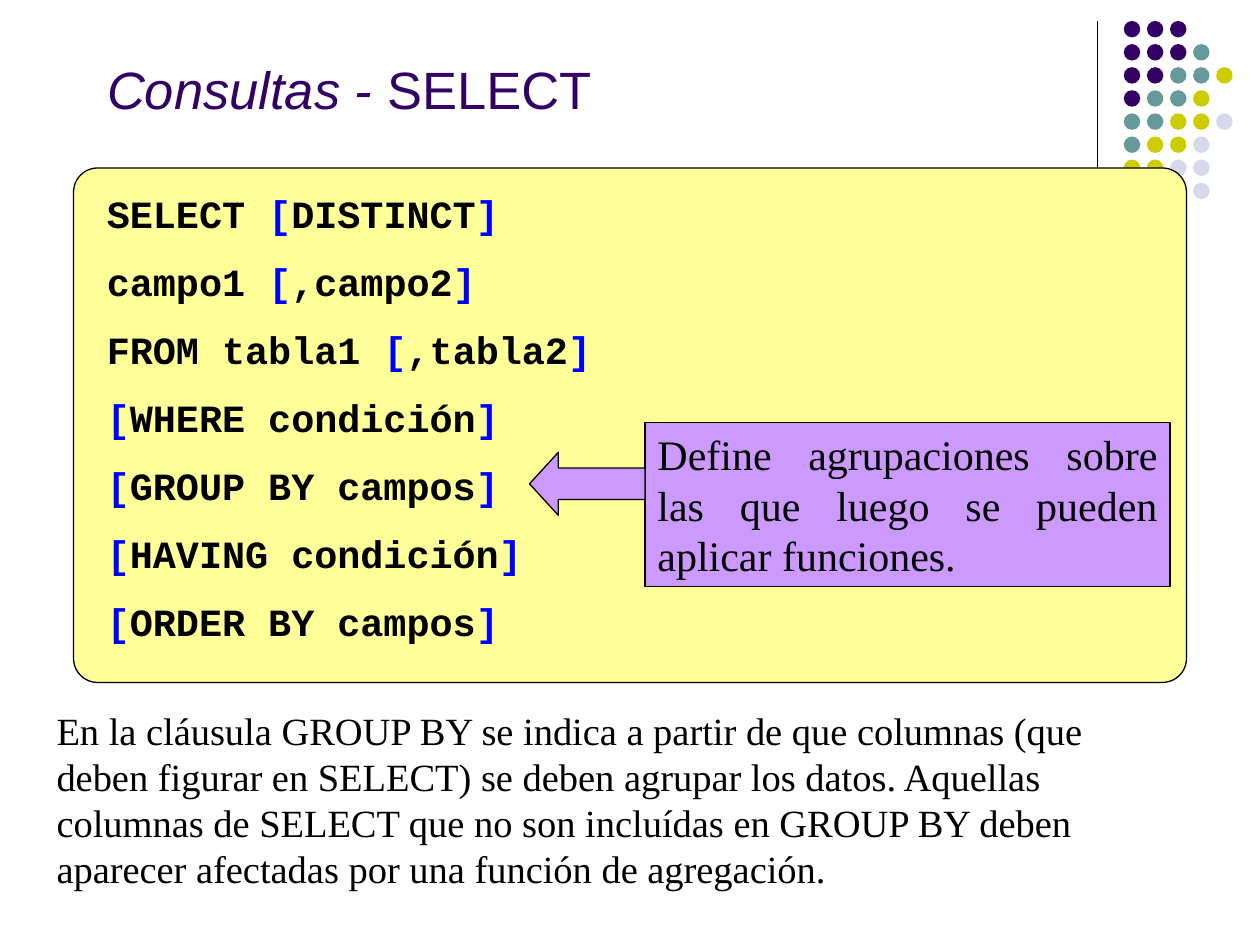
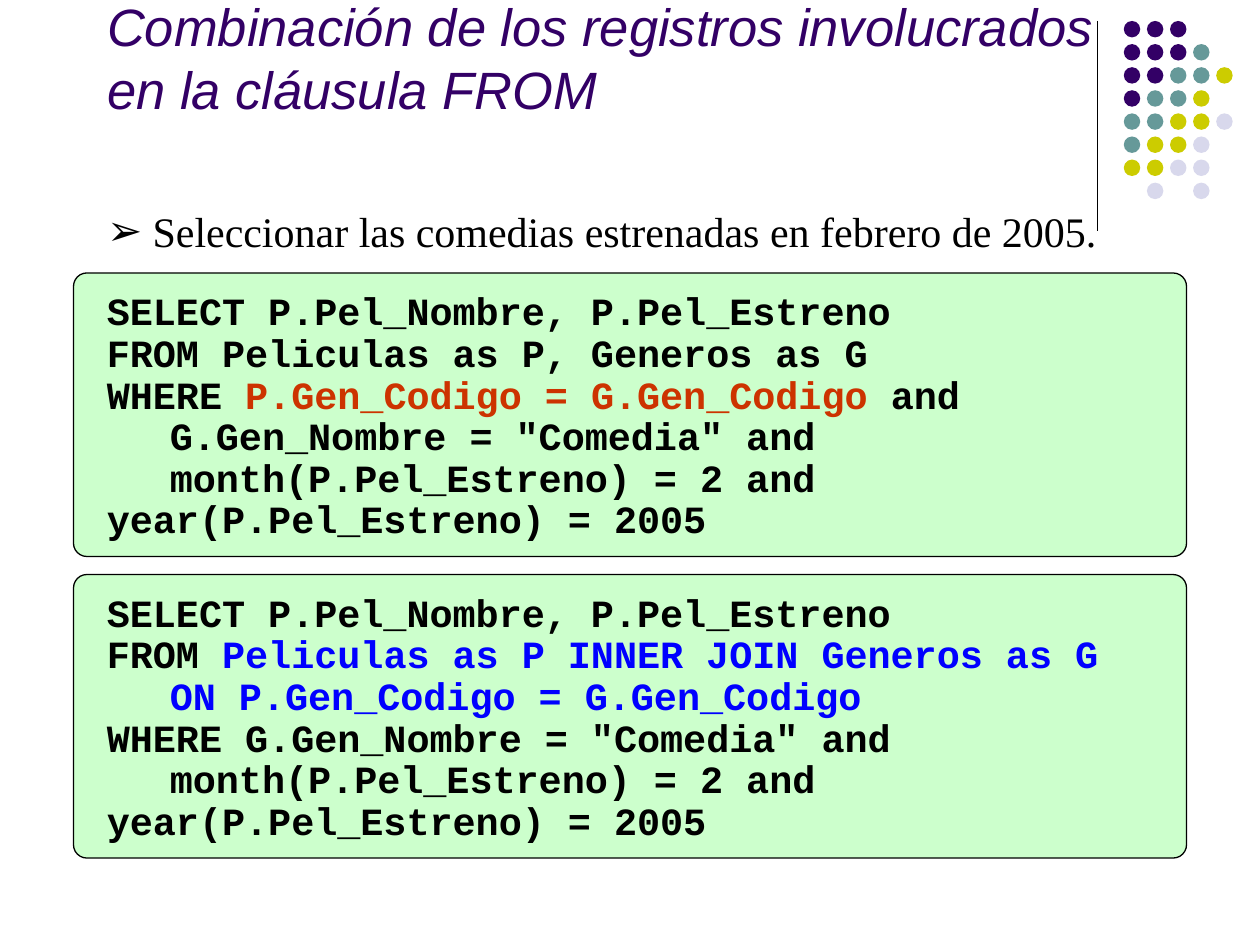
from lxml import etree
from pptx import Presentation
from pptx.dml.color import RGBColor
from pptx.enum.shapes import MSO_CONNECTOR, MSO_SHAPE
from pptx.enum.text import MSO_ANCHOR, MSO_AUTO_SIZE, PP_ALIGN
from pptx.oxml.ns import qn
from pptx.util import Pt

ROUNDED, RECTANGLE = MSO_SHAPE.ROUNDED_RECTANGLE, MSO_SHAPE.RECTANGLE
LEFT_ARROW, OVAL = MSO_SHAPE.LEFT_ARROW, MSO_SHAPE.OVAL
STRAIGHT = MSO_CONNECTOR.STRAIGHT
TOP, BOTTOM = MSO_ANCHOR.TOP, MSO_ANCHOR.BOTTOM
LEFT, JUSTIFY = PP_ALIGN.LEFT, PP_ALIGN.JUSTIFY
NO_AUTOFIT = MSO_AUTO_SIZE.NONE

COLORS = {
    "black": "000000", "purple": "330066", "teal": "669999", "olive": "CCCC00",
    "lavender": "D8D8EC", "blue": "0000FF", "red": "CC3300",
    "yellow": "FFFF99", "green": "CCFFCC", "lilac": "CC99FF",
}
RGB = {name: RGBColor.from_string(value) for name, value in COLORS.items()}
CODE_FONT, TEXT_FONT, TITLE_FONT = "Courier New", "Times New Roman", "Arial"


def add_box(shapes, kind, left, top, width, height, fill, outline="black"):
    box = shapes.add_shape(kind, Pt(left), Pt(top), Pt(width), Pt(height))
    box.shadow.inherit = False
    box.fill.solid()
    box.fill.fore_color.rgb = RGB[fill]
    if outline:
        box.line.color.rgb = RGB[outline]
        box.line.width = Pt(0.75)
    else:
        box.line.fill.background()
    return box


def add_code_panel(slide, top, height, fill, text_top, lines, gap=0):
    """Add a rounded panel with code; each line is a list of (text, colour)."""
    panel = add_box(slide.shapes, ROUNDED, 42, top, 636, height, fill)
    panel.adjustments[0] = 0.047
    code = slide.shapes.add_textbox(Pt(54), Pt(text_top), Pt(618), Pt(height - 12))
    frame = code.text_frame
    frame.word_wrap = True
    for number, line in enumerate(lines):
        paragraph = frame.add_paragraph() if number else frame.paragraphs[0]
        paragraph.line_spacing = 0.9
        paragraph.space_before = Pt(gap if number else 0)
        paragraph.font.name = CODE_FONT
        paragraph.font.size = Pt(22)
        paragraph.font.bold = True
        for text, color in line:
            run = paragraph.add_run()
            run.text = text
            run.font.color.rgb = RGB[color]


prs = Presentation()
prs.slide_width, prs.slide_height = Pt(720), Pt(540)
title_only, title_and_content = prs.slide_layouts[5], prs.slide_layouts[1]
syntax_slide = prs.slides.add_slide(title_only)
join_slide = prs.slides.add_slide(title_and_content)

# Corner ornament, drawn once and moved to the master
ornament = syntax_slide.shapes.add_group_shape()
rule = ornament.shapes.add_connector(STRAIGHT, Pt(627), Pt(12), Pt(627), Pt(132))
rule.line.color.rgb = RGB["black"]
rule.line.width = Pt(0.75)
etree.SubElement(rule.element.spPr, qn("a:effectLst"))

dot_colors = {"P": "purple", "T": "teal", "O": "olive", "L": "lavender"}
dot_rows = ["PPP", "PPPT", "PPTTO", "PTTO", "TTOOL", "TOOL", "OOLL", " L L"]
for row, dots in enumerate(dot_rows):
    for column, dot in enumerate(dots):
        if dot in dot_colors:
            add_box(ornament.shapes, OVAL, 642.2 + 13.2 * column, 12 + 13.2 * row,
                    9.4, 9.4, dot_colors[dot], outline=None)

for number, properties in enumerate(ornament.element.iter(qn("p:cNvPr"))):
    properties.set("id", str(100 + number))
prs.slide_master.shapes.element.append(ornament.element)

# Titles
titles = [
    (syntax_slide, [("Consultas - ", True), ("SELECT", False)]),
    (join_slide, [("Combinación de los registros involucrados en la cláusula FROM", True)]),
]
for slide, parts in titles:
    title = slide.shapes.title
    title.left, title.top, title.width, title.height = Pt(54), Pt(36), Pt(612), Pt(36)
    title.text_frame.auto_size = NO_AUTOFIT
    title.text_frame.vertical_anchor = BOTTOM
    heading = title.text_frame.paragraphs[0]
    heading.alignment = LEFT
    heading.font.name = TITLE_FONT
    heading.font.size = Pt(30)
    heading.font.color.rgb = RGB["purple"]
    for text, italic in parts:
        run = heading.add_run()
        run.text = text
        run.font.italic = italic

# Slide 1: SELECT syntax, optional parts in brackets
clauses = [
    ("SELECT ", "DISTINCT"),
    ("campo1 ", ",campo2"),
    ("FROM tabla1 ", ",tabla2"),
    ("", "WHERE condición"),
    ("", "GROUP BY campos"),
    ("", "HAVING condición"),
    ("", "ORDER BY campos"),
]
syntax = []
for required, optional in clauses:
    line = [(required, "black")] if required else []
    syntax.append(line + [("[", "blue"), (optional, "black"), ("]", "blue")])
add_code_panel(syntax_slide, 96, 294, "yellow", 108, syntax, gap=15.1)

callout = syntax_slide.shapes.add_group_shape()
definition = add_box(callout.shapes, RECTANGLE, 368.6, 241.6, 300, 93.6, "lilac")
arrow = add_box(callout.shapes, LEFT_ARROW, 302.6, 258.5, 66, 36, "lilac")
arrow.adjustments[1] = 0.458
explanation = syntax_slide.shapes.add_textbox(Pt(25.2), Pt(400.3), Pt(652), Pt(113))

notes = [
    (definition, 24, JUSTIFY,
     "Define agrupaciones sobre las que luego se pueden aplicar funciones."),
    (explanation, 22, LEFT,
     "En la cláusula GROUP BY se indica a partir de que columnas (que deben figurar "
     "en SELECT) se deben agrupar los datos. Aquellas columnas de SELECT que no son "
     "incluídas en GROUP BY deben aparecer afectadas por una función de agregación."),
]
for note, size, alignment, text in notes:
    note.text_frame.word_wrap = True
    note.text_frame.vertical_anchor = TOP
    paragraph = note.text_frame.paragraphs[0]
    paragraph.text = text
    paragraph.alignment = alignment
    paragraph.font.name = TEXT_FONT
    paragraph.font.size = Pt(size)
    paragraph.font.color.rgb = RGB["black"]

# Slide 2: the same query with WHERE and with INNER JOIN
task = join_slide.placeholders[1]
task.left, task.top, task.width, task.height = Pt(54), Pt(114), Pt(612), Pt(36)
task.text_frame.auto_size = NO_AUTOFIT
bullet_line = task.text_frame.paragraphs[0]
bullet_line.text = "Seleccionar las comedias estrenadas en febrero de 2005."
bullet_line.space_before = Pt(0)
indents = bullet_line._p.get_or_add_pPr()
indents.set("marL", str(Pt(26)))
indents.set("indent", str(-Pt(26)))
bullet_color = etree.SubElement(indents, qn("a:buClr"))
etree.SubElement(bullet_color, qn("a:srgbClr"), val=COLORS["black"])
etree.SubElement(indents, qn("a:buChar"), char="➢")
bullet_line.font.name = TEXT_FONT
bullet_line.font.size = Pt(24)
bullet_line.font.color.rgb = RGB["black"]

select_line = [("SELECT P.Pel_Nombre, P.Pel_Estreno", "black")]
date_line = [("\tmonth(P.Pel_Estreno) = 2 and \tyear(P.Pel_Estreno) = 2005", "black")]
where_query = [
    select_line,
    [("FROM Peliculas as P, Generos as G", "black")],
    [("WHERE ", "black"), ("P.Gen_Codigo = G.Gen_Codigo", "red"), (" and", "black")],
    [("\tG.Gen_Nombre = \"Comedia\" and", "black")],
    date_line,
]
join_query = [
    select_line,
    [("FROM ", "black"), ("Peliculas as P INNER JOIN Generos as G", "blue")],
    [("\tON P.Gen_Codigo = G.Gen_Codigo", "blue")],
    [("WHERE G.Gen_Nombre = \"Comedia\" and", "black")],
    date_line,
]
for top, query in ((156, where_query), (328.3, join_query)):
    add_code_panel(join_slide, top, 162, "green", top + 7.7, query)

prs.save("out.pptx")
